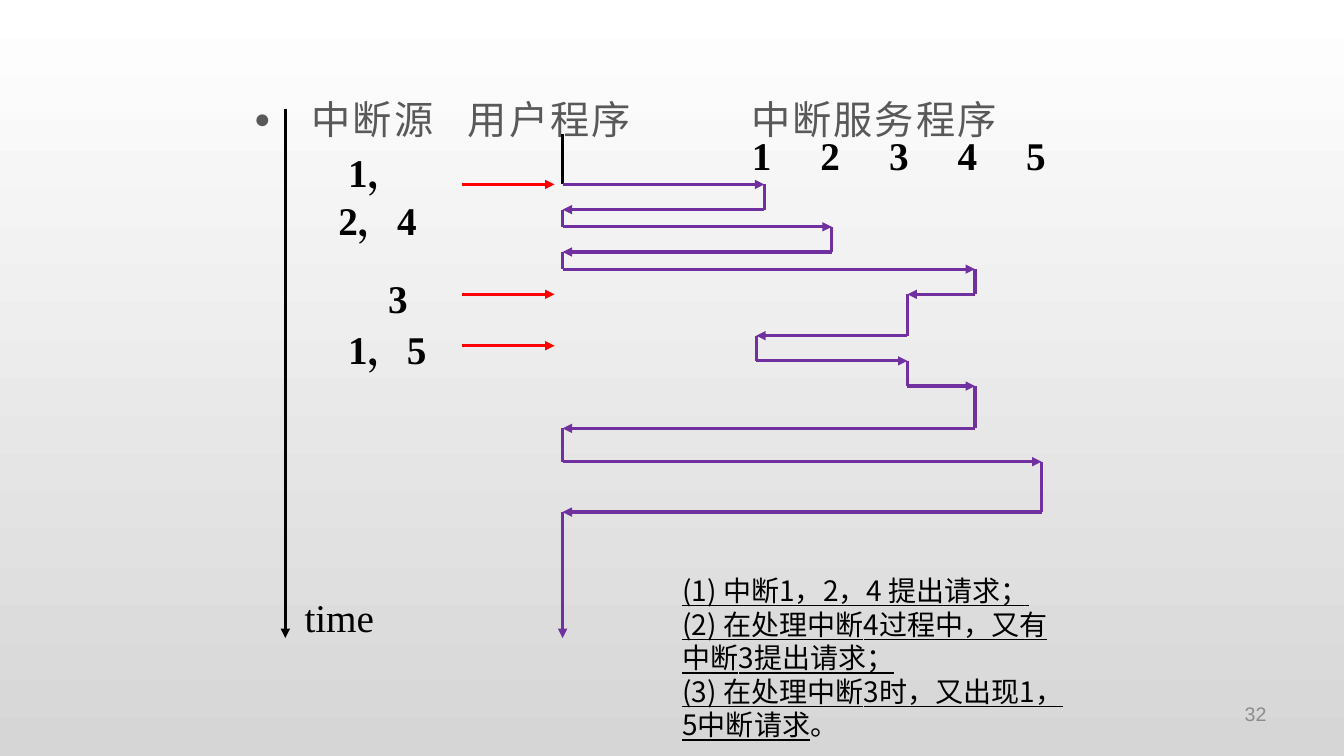
from dataclasses import dataclass

from lxml.etree import SubElement
from pptx import Presentation
from pptx.dml.color import RGBColor
from pptx.enum.shapes import MSO_CONNECTOR
from pptx.enum.text import MSO_ANCHOR, MSO_AUTO_SIZE, PP_ALIGN
from pptx.oxml.ns import qn
from pptx.util import Inches, Pt


@dataclass(frozen=True)
class Theme:
    ink: str = "000000"
    heading: str = "595959"
    number: str = "8C8C8C"
    request: str = "FF0000"
    trace: str = "7030A0"
    top: str = "FFFFFF"
    bottom: str = "D6D6D6"
    sans: str = "Noto Sans CJK SC"
    serif: str = "Times New Roman"
    plain: str = "Arial"
    large: int = 28
    medium: int = 20
    small: int = 14
    line: float = 2.25


T = Theme()


def add_run(p, text, size=T.large, font=T.serif, color=T.ink, bold=False,
            underline=False, tracking=None):
    r = p.add_run()
    r.text = text
    f = r.font
    f.size, f.name, f.bold, f.underline = Pt(size), font, bold, underline
    f.color.rgb = RGBColor.from_string(color)
    rPr = r._r.get_or_add_rPr()
    SubElement(rPr, qn("a:ea")).set("typeface", font)
    if tracking:
        rPr.set("spc", str(tracking))


def add_text(slide, box, text, align=PP_ALIGN.CENTER, wrap=True, inset=0.1,
             anchor=MSO_ANCHOR.TOP, spacing=None, **fmt):
    """Add a text box with one paragraph and return that paragraph."""
    tf = slide.shapes.add_textbox(*map(Inches, box)).text_frame
    tf.word_wrap, tf.vertical_anchor = wrap, anchor
    tf.margin_left = tf.margin_right = Inches(inset)
    p = tf.paragraphs[0]
    p.alignment = align
    if spacing:
        p.line_spacing = Pt(spacing)
    add_run(p, text, **fmt)
    return p


def set_tabs(p, stops):
    tabs = SubElement(p._p.get_or_add_pPr(), qn("a:tabLst"))
    for stop in stops:
        SubElement(tabs, qn("a:tab"), pos=str(Inches(stop)), algn="l")


def add_line(slide, start, end, color, arrow=False):
    c = slide.shapes.add_connector(
        MSO_CONNECTOR.STRAIGHT, *map(Inches, (*start, *end)))
    c.line.width = Pt(T.line)
    c.line.color.rgb = RGBColor.from_string(color)
    if arrow:
        SubElement(c.line._get_or_add_ln(), qn("a:tailEnd"), type="triangle")
    SubElement(c._element.spPr, qn("a:effectLst"))


def paint_background(slide):
    fill = slide.background.fill
    fill.gradient()
    fill.gradient_angle = 270
    for stop, color, pos in zip(fill.gradient_stops, (T.top, T.bottom), (0, 1)):
        stop.color.rgb = RGBColor.from_string(color)
        stop.position = pos


def column_headings(slide, box):
    title, body = slide.placeholders
    title._element.getparent().remove(title._element)
    body.left, body.top, body.width, body.height = map(Inches, box)
    tf = body.text_frame
    tf.auto_size, tf.vertical_anchor = MSO_AUTO_SIZE.NONE, MSO_ANCHOR.TOP
    p = tf.paragraphs[0]
    p.space_before, p.space_after, p.line_spacing = Pt(0), Pt(10), Pt(44)
    pPr = p._p.get_or_add_pPr()
    pPr.set("marL", "0")
    pPr.set("indent", "0")
    SubElement(pPr, qn("a:buSzPct"), val="70000")
    SubElement(pPr, qn("a:buFont"), typeface=T.plain)
    SubElement(pPr, qn("a:buChar"), char="●")
    set_tabs(p, (0.57, 2.12, 4.93))
    add_run(p, "\t中断源\t用户程序\t中断服务程序", font=T.sans,
            color=T.heading, tracking=150)


def service_numbers(slide, box):
    p = add_text(slide, box, "1\t2\t3\t4\t5", align=PP_ALIGN.LEFT,
                 spacing=34, bold=True)
    set_tabs(p, [0.68 * i for i in range(1, 5)])


def time_axis(slide, box):
    left, top, _, height = box
    bottom = top + height
    add_line(slide, (left, top), (left, bottom), T.ink, arrow=True)
    add_text(slide, (left + 0.09, bottom - 0.5, 0.89, 0.57), "time",
             wrap=False, spacing=34)


def interrupt_requests(slide, box):
    """Place each request label and its arrow, which ends at the box's right."""
    left, top, width, _ = box
    right = left + width
    requests = (  # text, label offset, label width, inset, arrow offset
        ("1，2，4", 0, 0, 1.57, 0.25, 0.41),
        ("3", 0.79, 1.25, 0.39, 0.1, 1.5),
        ("1，5", 0.39, 1.75, 0.98, 0.1, 2.01),
    )
    for text, dx, dy, label_width, inset, arrow_dy in requests:
        add_text(slide, (left + dx, top + dy, label_width, 0.57), text,
                 inset=inset, spacing=34, bold=True)
        y = top + arrow_dy
        add_line(slide, (right - 0.92, y), (right, y), T.request, arrow=True)


def execution_trace(slide, box):
    """Draw the processor's path: arrows switch programs, uprights are run time."""
    user, top, _, height = box
    switches = (  # moment of the switch, column switched to
        (0.5, 2), (0.75, 0), (0.92, 2.67), (1.17, 0), (1.34, 4.09),
        (1.59, 3.42), (2, 1.92), (2.25, 3.42), (2.5, 4.09), (2.92, 0),
        (3.25, 4.75), (3.75, 0),
    )
    x, y = user, top
    for i, (moment, column) in enumerate(switches):
        switch_y, next_x = top + moment, user + column
        add_line(slide, (x, y), (x, switch_y), T.trace if i else T.ink)
        add_line(slide, (x, switch_y), (next_x, switch_y), T.trace, arrow=True)
        x, y = next_x, switch_y
    add_line(slide, (x, y), (x, top + height), T.trace, arrow=True)


def request_notes(slide, box):
    fmt = dict(size=T.medium, font=T.sans)
    notes = (
        "(1) 中断1，2，4 提出请求；",
        "(2) 在处理中断4过程中，又有中断3提出请求；",
        "(3) 在处理中断3时，又出现1，5中断请求",
    )
    tf = slide.shapes.add_textbox(*map(Inches, box)).text_frame
    tf.word_wrap = True
    for i, note in enumerate(notes):
        p = tf.add_paragraph() if i else tf.paragraphs[0]
        p.line_spacing = Pt(24)
        add_run(p, note, underline=True, **fmt)
    add_run(p, "。", **fmt)


def page_number(slide, box):
    add_text(slide, box, "32", align=PP_ALIGN.RIGHT, anchor=MSO_ANCHOR.MIDDLE,
             size=T.small, font=T.plain, color=T.number)


def main():
    prs = Presentation()
    prs.slide_width, prs.slide_height = Inches(13.33), Inches(7.5)
    slide = prs.slides.add_slide(prs.slide_layouts.get_by_name("Title and Content"))
    paint_background(slide)
    column_headings(slide, (2.42, 0.75, 8.5, 6.17))
    time_axis(slide, (2.83, 1.08, 1, 5.25))
    service_numbers(slide, (7.36, 1.25, 3.3, 0.57))
    interrupt_requests(slide, (2.96, 1.42, 2.54, 2.32))
    execution_trace(slide, (5.58, 1.33, 4.75, 5))
    page_number(slide, (9.71, 6.91, 2.95, 0.35))
    request_notes(slide, (6.67, 5.64, 4.06, 1.78))
    prs.save("out.pptx")


if __name__ == "__main__":
    main()
